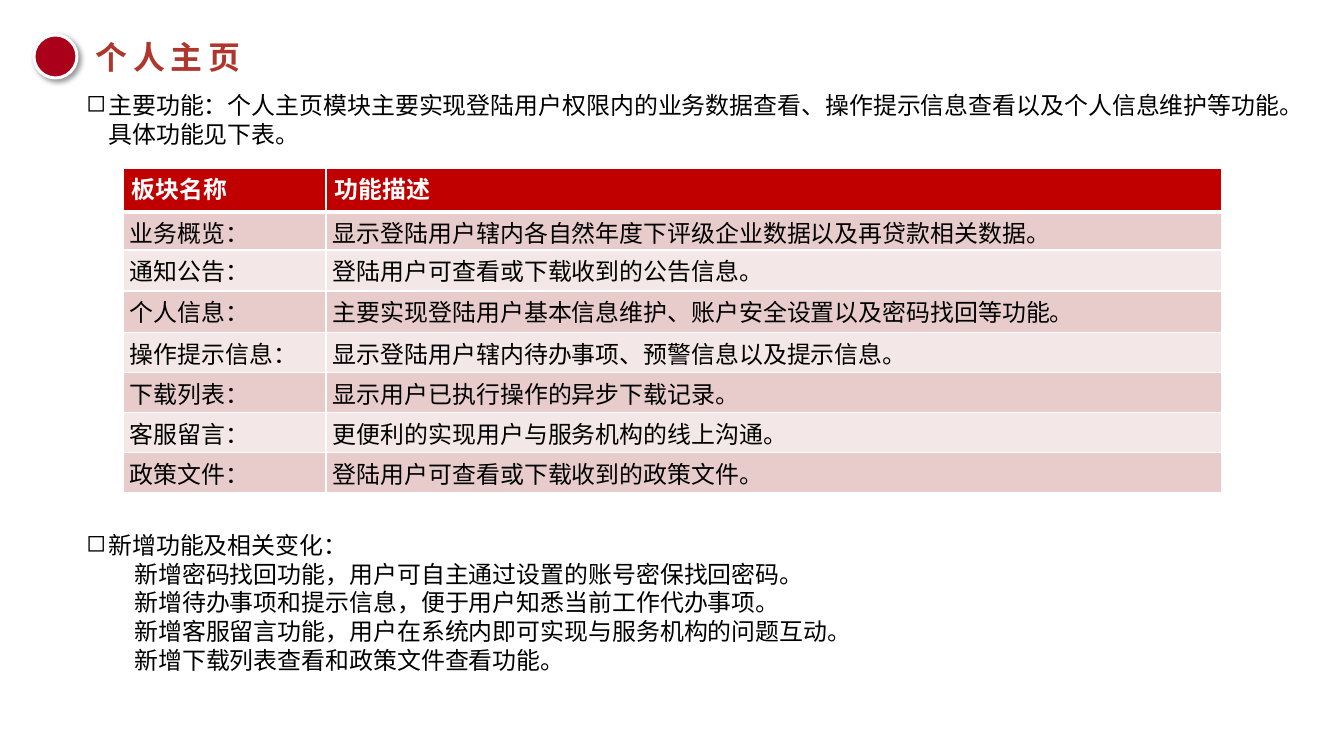
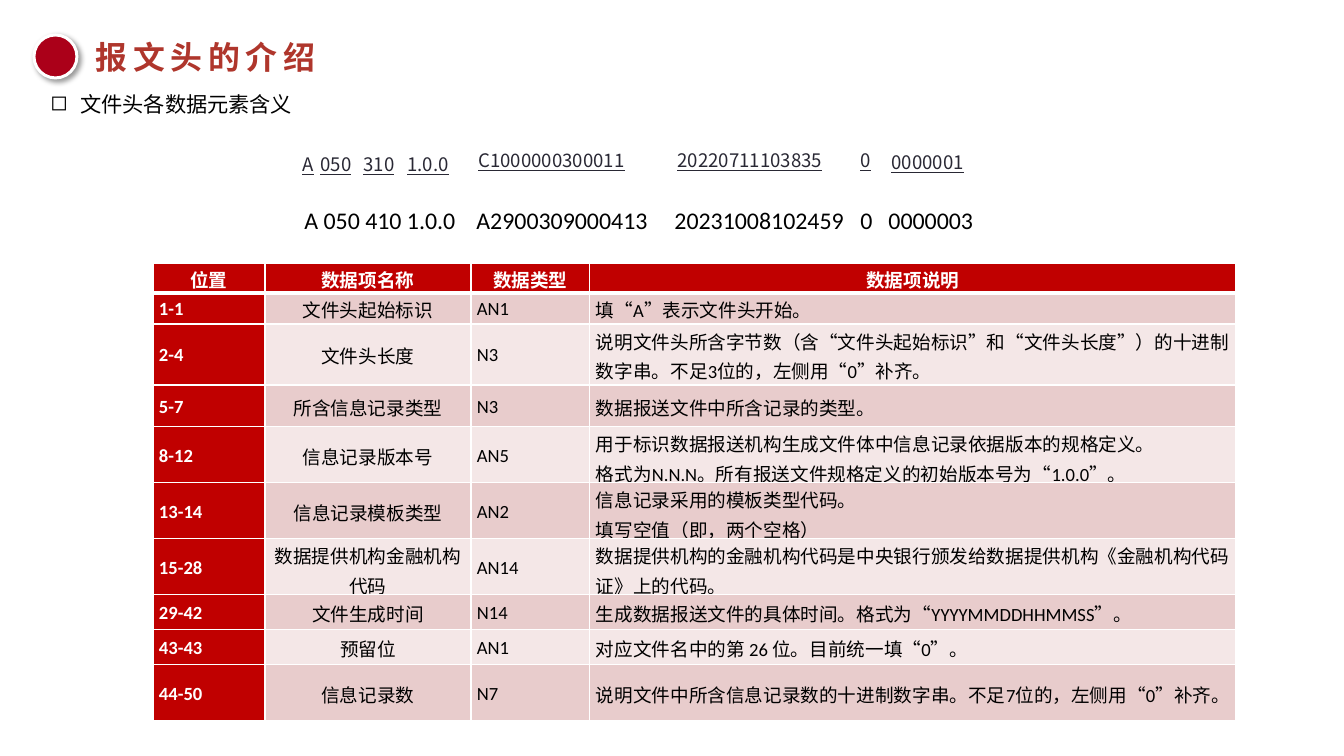
from lxml.etree import SubElement
from pptx import Presentation
from pptx.dml.color import RGBColor
from pptx.enum.shapes import MSO_SHAPE
from pptx.enum.text import MSO_ANCHOR, PP_ALIGN
from pptx.oxml.ns import qn
from pptx.util import Emu, Pt

EMU_PER_PX = 9565
CJK, LATIN = "Noto Sans CJK SC", "Calibri"
BLACK, WHITE, INK = "000000", "FFFFFF", "292834"
TITLE_RED, DOT_RED, HEAD_RED = "AF362C", "AB0019", "C00000"
BANDS = ["E8CCCC", "F4E7E7"]
LEFT, CENTER = PP_ALIGN.LEFT, PP_ALIGN.CENTER

HOME_ROWS = [
    ["板块名称", "功能描述"],
    ["业务概览：", "显示登陆用户辖内各自然年度下评级企业数据以及再贷款相关数据。"],
    ["通知公告：", "登陆用户可查看或下载收到的公告信息。"],
    ["个人信息：", "主要实现登陆用户基本信息维护、账户安全设置以及密码找回等功能。"],
    ["操作提示信息：", "显示登陆用户辖内待办事项、预警信息以及提示信息。"],
    ["下载列表：", "显示用户已执行操作的异步下载记录。"],
    ["客服留言：", "更便利的实现用户与服务机构的线上沟通。"],
    ["政策文件：", "登陆用户可查看或下载收到的政策文件。"],
]
HOME_INTRO = ("主要功能：个人主页模块主要实现登陆用户权限内的业务数据查看、"
              "操作提示信息查看以及个人信息维护等功能。具体功能见下表。")
HOME_CHANGES = [
    "新增密码找回功能，用户可自主通过设置的账号密保找回密码。",
    "新增待办事项和提示信息，便于用户知悉当前工作代办事项。",
    "新增客服留言功能，用户在系统内即可实现与服务机构的问题互动。",
    "新增下载列表查看和政策文件查看功能。",
]
HEADER_ROWS = [
    ["位置", "数据项名称", "数据类型", "数据项说明"],
    ["1-1", "文件头起始标识", "AN1", "填“A”表示文件头开始。"],
    ["2-4", "文件头长度", "N3",
     "说明文件头所含字节数（含“文件头起始标识”和“文件头长度”）的十进制数字串。"
     "不足3位的，左侧用“0”补齐。"],
    ["5-7", "所含信息记录类型", "N3", "数据报送文件中所含记录的类型。"],
    ["8-12", "信息记录版本号", "AN5",
     "用于标识数据报送机构生成文件体中信息记录依据版本的规格定义。\v"
     "格式为N.N.N。所有报送文件规格定义的初始版本号为“1.0.0”。"],
    ["13-14", "信息记录模板类型", "AN2",
     "信息记录采用的模板类型代码。\n填写空值（即，两个空格）"],
    ["15-28", "数据提供机构金融机构代码", "AN14",
     "数据提供机构的金融机构代码是中央银行颁发给数据提供机构《金融机构代码证》上的代码。"],
    ["29-42", "文件生成时间", "N14", "生成数据报送文件的具体时间。格式为“YYYYMMDDHHMMSS”。"],
    ["43-43", "预留位", "AN1", "对应文件名中的第 26 位。目前统一填“0”。"],
    ["44-50", "信息记录数", "N7",
     "说明文件中所含信息记录数的十进制数字串。不足7位的，左侧用“0”补齐。"],
]
FIELDS = [
    ("A", 293, 148, 54), ("050", 311, 148, 72), ("310", 354, 148, 72),
    ("1.0.0", 398, 148, 83), ("C1000000300011", 469, 144, 224),
    ("20220711103835", 668, 144, 224), ("0", 851, 144, 43),
    ("0000001", 882, 146, 123),
]
EXAMPLE = ["A 050 410 1.0.0", "A2900309000413", "20231008102459", "0", "0000003"]
EXAMPLE_TABS = [172, 370, 556, 584]


def px(n):
    return Emu(n * EMU_PER_PX)


def rgb(color):
    return RGBColor.from_string(color)


def add_xml(parent, tag, **attrs):
    return SubElement(parent, qn(tag), {k: str(v) for k, v in attrs.items()})


def style(p, size, color=BLACK, font=CJK, bold=False, spacing=None):
    p.line_spacing = spacing or Pt(size * 1.2)
    f = p.font
    f.size, f.bold = Pt(size), bold
    f.color.rgb = rgb(color)
    f.name = font
    add_xml(p._p.pPr.defRPr, "a:ea", typeface=CJK)


def indent(p, left, bullet=False):
    pPr = p._p.get_or_add_pPr()
    pPr.set("marL", str(px(left)))
    pPr.set("indent", str(px(-left if bullet else 0)))
    if bullet:
        add_xml(pPr, "a:buChar", char="◻")


def textbox(slide, x, y, w, h, inset=True):
    tf = slide.shapes.add_textbox(px(x), px(y), px(w), px(h)).text_frame
    tf.word_wrap = True
    if not inset:
        tf.margin_left = tf.margin_top = tf.margin_right = tf.margin_bottom = 0
    return tf


def add_list(slide, x, y, w, h, heading, items=(), size=18, hang=22):
    tf = textbox(slide, x, y, w, h)
    p = tf.paragraphs[0]
    p.text = heading
    indent(p, hang, bullet=True)
    style(p, size)
    for item in items:
        p = tf.add_paragraph()
        p.text = item
        indent(p, 48)
        style(p, size)


def add_title(slide, text, x=34, y=35):
    p = textbox(slide, x + 62, y + 3, 285, 38, inset=False).paragraphs[0]
    p.text = text
    style(p, 24, TITLE_RED, bold=True)
    p._p.pPr.defRPr.set("spc", "420")
    dot = slide.shapes.add_shape(MSO_SHAPE.OVAL, px(x), px(y), px(43), px(43))
    dot.fill.solid()
    dot.fill.fore_color.rgb = rgb(DOT_RED)
    dot.line.color.rgb = rgb(WHITE)
    dot.line.width = Pt(2.25)
    dot.shadow.inherit = False
    effects = dot._element.spPr.find(qn("a:effectLst"))
    shadow = add_xml(effects, "a:outerShdw", blurRad=Pt(4), dist=Pt(3), dir=2700000)
    add_xml(add_xml(shadow, "a:srgbClr", val=BLACK), "a:alpha", val=40000)


def paint_cell(cell, fill, bottom):
    tcPr = cell._tc.get_or_add_tcPr()
    for side, width in (("L", 1), ("R", 1), ("T", 1), ("B", bottom)):
        ln = add_xml(tcPr, f"a:ln{side}", w=Pt(width))
        add_xml(add_xml(ln, "a:solidFill"), "a:srgbClr", val=WHITE)
    cell.fill.solid()
    cell.fill.fore_color.rgb = rgb(fill)


def add_grid(slide, x, y, cols, heights, rows, write_cell, red_column=False):
    frame = slide.shapes.add_table(len(rows), len(cols), px(x), px(y),
                                   px(sum(cols)), px(sum(heights)))
    table = frame.table
    table.horz_banding = False
    for col, width in zip(table.columns, cols):
        col.width = px(width)
    for i, (row, height) in enumerate(zip(rows, heights)):
        table.rows[i].height = px(height)
        for j, text in enumerate(row):
            cell = table.cell(i, j)
            head = i == 0 or (red_column and j == 0)
            paint_cell(cell, HEAD_RED if head else BANDS[(i - 1) % 2], 3 if i == 0 else 1)
            cell.text_frame.text = text
            write_cell(cell, i, j, head)


def write_home_cell(cell, i, j, head):
    cell.margin_left = cell.margin_right = px(9 if head else 7)
    cell.margin_top, cell.margin_bottom = px(9), px(0)
    style(cell.text_frame.paragraphs[0], 18, WHITE if head else BLACK,
          LATIN if head else CJK, head)


def write_header_cell(cell, i, j, head):
    cell.margin_left = cell.margin_right = px(6)
    cell.margin_top = cell.margin_bottom = px(0)
    cell.vertical_anchor = MSO_ANCHOR.MIDDLE
    for p in cell.text_frame.paragraphs:
        p.alignment = CENTER if i == 0 or j == 1 else LEFT
        style(p, 14, WHITE if head else BLACK, LATIN, head, 1.1)


def add_fields(slide):
    for text, x, y, w in FIELDS:
        p = textbox(slide, x, y, w, 32).paragraphs[0]
        p.text = text
        style(p, 14, INK)
        p.font.underline = True


def add_example(slide, x, y, w, h):
    p = textbox(slide, x, y, w, h).paragraphs[0]
    p.text = "\t".join(EXAMPLE)
    tabs = add_xml(p._p.get_or_add_pPr(), "a:tabLst")
    for pos in EXAMPLE_TABS:
        add_xml(tabs, "a:tab", pos=px(pos), algn="l")
    style(p, 18, font=LATIN)


def build_home(slide):
    add_list(slide, 77, 86, 1212, 68, HOME_INTRO)
    add_grid(slide, 123, 168, [203, 896], [44, 38, 41, 42] + [40] * 4,
             HOME_ROWS, write_home_cell)
    add_list(slide, 77, 526, 1212, 154, "新增功能及相关变化：", HOME_CHANGES)
    add_title(slide, "个人主页")


def build_header(slide):
    add_list(slide, 41, 87, 301, 35, "文件头各数据元素含义", size=16, hang=30)
    add_fields(slide)
    add_grid(slide, 153, 263, [112, 206, 119, 646],
             [30, 31, 61, 42, 56, 56, 56, 35, 35, 56],
             HEADER_ROWS, write_header_cell, red_column=True)
    add_title(slide, "报文头的介绍")
    add_example(slide, 295, 201, 750, 38)


def main():
    prs = Presentation()
    prs.slide_width, prs.slide_height = px(1344), px(756)
    for build in (build_home, build_header):
        build(prs.slides.add_slide(prs.slide_layouts[6]))
    prs.save("out.pptx")


if __name__ == "__main__":
    main()
